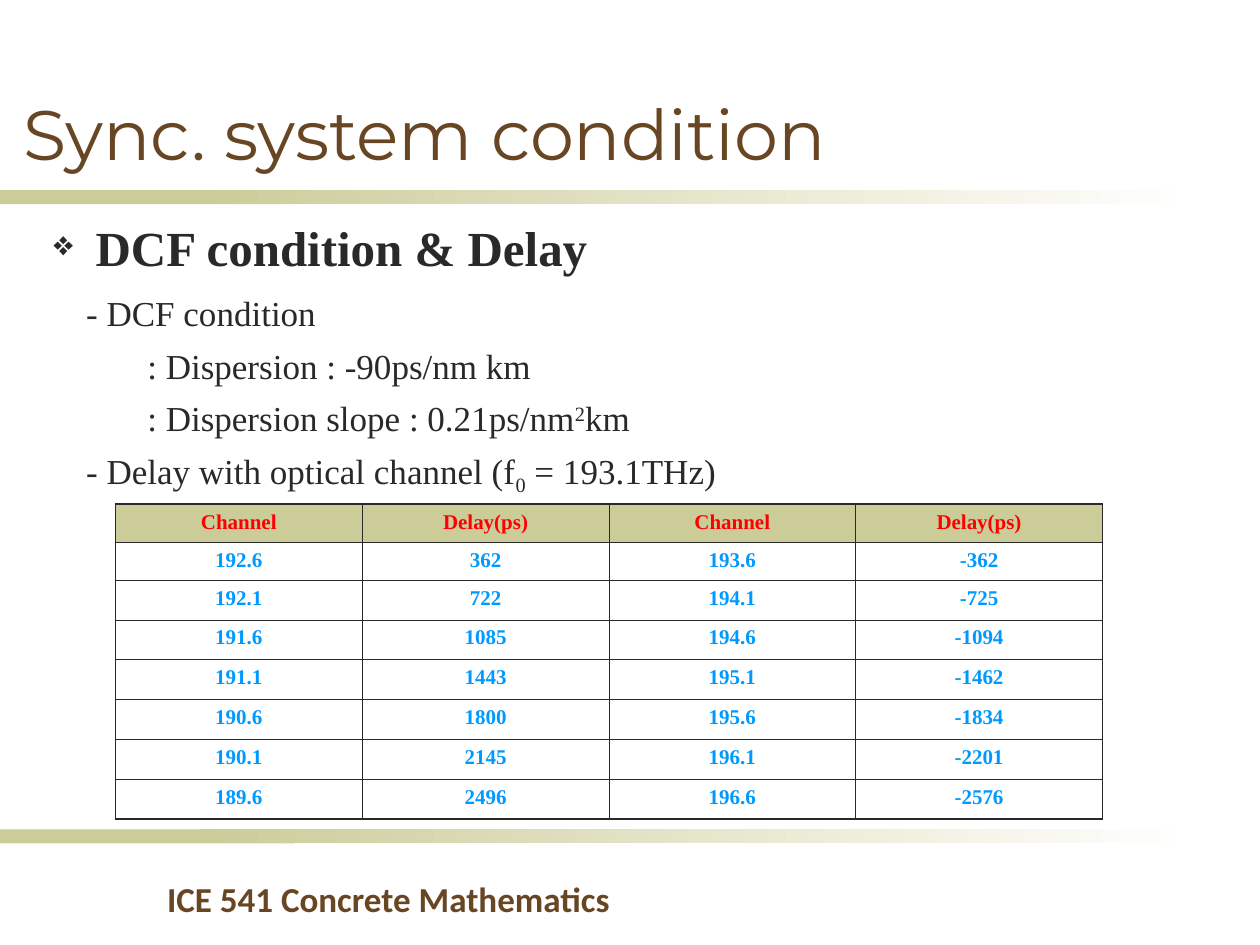
"""Build the slide on the DCF condition and channel delays."""
import pptx
import pptx.dml.color
import pptx.enum.shapes
import pptx.enum.text
import pptx.oxml
import pptx.oxml.ns
import pptx.util

Pt = pptx.util.Pt
ALIGN = pptx.enum.text.PP_ALIGN
SERIF = "Times New Roman"
INK, BROWN, TAN, WHITE = "292929", "694623", "CCCC99", "FFFFFF"
RED, BLUE = "FF0000", "0099FF"

TITLE = "Sync. system condition"
HEADING = " DCF condition & Delay"
COURSE = "ICE 541 Concrete Mathematics"
CONDITIONS = [
    (0, [("- DCF condition", 0)]),
    (1, [(": Dispersion : -90ps/nm km", 0)]),
    (1, [(": Dispersion slope : 0.21ps/nm", 0), ("2", 30), ("km", 0)]),
    (0, [("- Delay with optical channel (f", 0), ("0", -25), (" = 193.1THz)", 0)]),
]
INDENTS = [(35, -35), (70, -35)]
DELAYS = [
    ("Channel", "Delay(ps)", "Channel", "Delay(ps)"),
    ("192.6", "362", "193.6", "-362"),
    ("192.1", "722", "194.1", "-725"),
    ("191.6", "1085", "194.6", "-1094"),
    ("191.1", "1443", "195.1", "-1462"),
    ("190.6", "1800", "195.6", "-1834"),
    ("190.1", "2145", "196.1", "-2201"),
    ("189.6", "2496", "196.6", "-2576"),
]
ROW_HEIGHTS = [21.75] * 2 + [22.75] * 6
COLUMN_WIDTH = 141
BAR_TOPS = [108.75, 474]


def rgb(color):
    return pptx.dml.color.RGBColor.from_string(color)


def style(font, name, size, color, bold=False):
    font.name, font.size, font.bold = name, Pt(size), bold
    font.color.rgb = rgb(color)


def place(shape, *box):
    shape.left, shape.top, shape.width, shape.height = map(Pt, box)


def add_element(parent, xml):
    declared = xml.replace(" ", f" {pptx.oxml.ns.nsdecls('a')} ", 1)
    parent.append(pptx.oxml.parse_xml(declared))


def add_bar(slide, left, top, width):
    bar = slide.shapes.add_shape(
        pptx.enum.shapes.MSO_SHAPE.RECTANGLE, Pt(left), Pt(top), Pt(width), Pt(8))
    bar.shadow.inherit = False
    bar.line.fill.background()
    return bar.fill


def add_bars(slide, top):
    solid = add_bar(slide, 0, top, 168)
    solid.solid()
    solid.fore_color.rgb = rgb(TAN)
    fade = add_bar(slide, 114, top, 570)
    fade.gradient()
    fade.gradient_angle = 0
    for stop, color in zip(fade.gradient_stops, (TAN, WHITE)):
        stop.color.rgb = rgb(color)


def add_title(slide):
    title = slide.shapes.title
    place(title, 6, 48, 619, 54)
    title.fill.solid()
    title.fill.fore_color.rgb = rgb(WHITE)
    frame = title.text_frame
    frame.text = TITLE
    frame.auto_size = pptx.enum.text.MSO_AUTO_SIZE.NONE
    frame.vertical_anchor = pptx.enum.text.MSO_ANCHOR.TOP
    frame.paragraphs[0].alignment = ALIGN.LEFT
    style(frame.paragraphs[0].runs[0].font, "Montserrat", 40, BROWN)


def add_label(slide, text, box, font, bullet=()):
    label = slide.shapes.add_textbox(*map(Pt, box))
    label.text_frame.word_wrap = True
    label.text_frame.text = text
    line = label.text_frame.paragraphs[0]
    line.alignment = ALIGN.CENTER
    for xml in bullet:
        add_element(line._p.get_or_add_pPr(), xml)
    style(line.runs[0].font, *font, bold=True)


def add_conditions(slide):
    body = slide.placeholders[1]
    place(body, 42, 163, 603, 352)
    frame = body.text_frame
    frame.auto_size = pptx.enum.text.MSO_AUTO_SIZE.NONE
    for index, (level, pieces) in enumerate(CONDITIONS):
        line = frame.add_paragraph() if index else frame.paragraphs[0]
        line.level = level
        line.space_before = Pt(6 if index else 0)
        properties = line._p.get_or_add_pPr()
        margin, indent = INDENTS[level]
        properties.set("marL", str(Pt(margin)))
        properties.set("indent", str(Pt(indent)))
        add_element(properties, "<a:buNone />")
        for text, baseline in pieces:
            run = line.add_run()
            run.text = text
            style(run.font, SERIF, 20, INK)
            if baseline:
                run._r.get_or_add_rPr().set("baseline", str(baseline * 1000))


def add_borders(cell, row, column):
    outer = {"L": column == 0, "R": column == len(DELAYS[0]) - 1,
             "T": row == 0, "B": row == len(DELAYS) - 1}
    for side, is_outer in outer.items():
        width = Pt(1.08 if is_outer else 0.45)
        add_element(
            cell._tc.get_or_add_tcPr(),
            f'<a:ln{side} w="{width}"><a:solidFill><a:srgbClr val="{INK}"/>'
            f"</a:solidFill></a:ln{side}>")


def add_delays(slide):
    rows, columns = len(DELAYS), len(DELAYS[0])
    table = slide.shapes.add_table(
        rows, columns, Pt(66), Pt(288),
        Pt(COLUMN_WIDTH * columns), Pt(sum(ROW_HEIGHTS))).table
    table.first_row = table.horz_banding = False
    for row, values in enumerate(DELAYS):
        table.rows[row].height = Pt(ROW_HEIGHTS[row])
        for column, value in enumerate(values):
            cell = table.cell(row, column)
            cell.text = value
            add_borders(cell, row, column)
            if row:
                cell.fill.background()
            else:
                cell.fill.solid()
                cell.fill.fore_color.rgb = rgb(TAN)
            line = cell.text_frame.paragraphs[0]
            line.alignment = ALIGN.CENTER
            style(line.runs[0].font, SERIF, 12, BLUE if row else RED, bold=True)


def main():
    deck = pptx.Presentation()
    deck.slide_width, deck.slide_height = Pt(720), Pt(540)
    slide = deck.slides.add_slide(deck.slide_layouts[1])
    for top in BAR_TOPS:
        add_bars(slide, top)
    add_label(slide, COURSE, (0, 498, 444, 32), ("Calibri", 20, BROWN))
    add_title(slide)
    add_label(slide, HEADING, (6, 121, 360, 42), (SERIF, 28, INK), bullet=(
        f'<a:buClr ><a:srgbClr val="{INK}"/></a:buClr>',
        '<a:buSzPct val="70000"/>',
        '<a:buChar char="❖"/>'))
    add_conditions(slide)
    add_delays(slide)
    deck.save("out.pptx")


if __name__ == "__main__":
    main()
